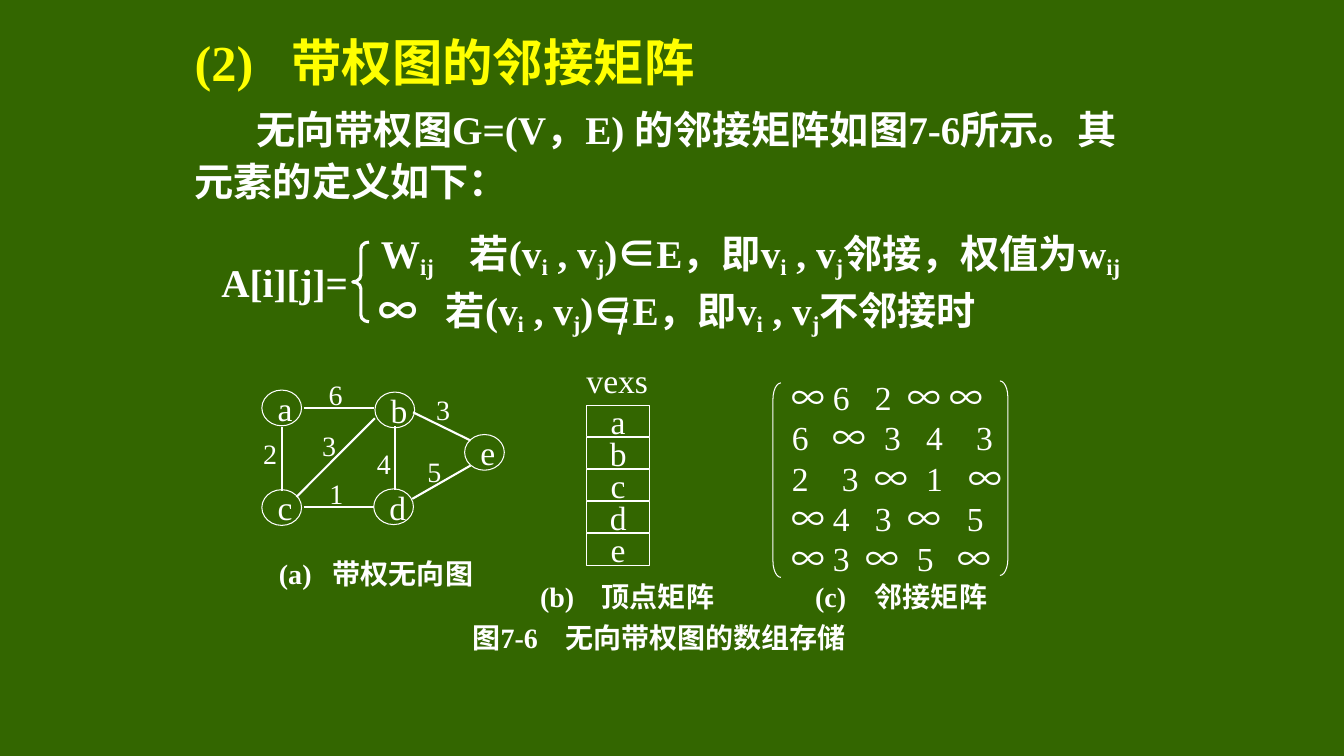
from itertools import groupby

from lxml import etree
from pptx import Presentation
from pptx.dml.color import RGBColor
from pptx.enum.shapes import MSO_CONNECTOR, MSO_SHAPE
from pptx.enum.text import MSO_ANCHOR, MSO_AUTO_SIZE, PP_ALIGN
from pptx.oxml.ns import qn
from pptx.util import Cm, Pt

GREEN = RGBColor(0x33, 0x66, 0x00)
YELLOW = RGBColor(0xFF, 0xFF, 0x00)
WHITE = RGBColor(0xFF, 0xFF, 0xFF)
TEXT_FONT, SYMBOL_FONT = "Times New Roman", "Noto Sans CJK SC"
SYMBOLS = "∞∈"
LEFT, CENTER = PP_ALIGN.LEFT, PP_ALIGN.CENTER
TOP, MIDDLE = MSO_ANCHOR.TOP, MSO_ANCHOR.MIDDLE
OVAL, RECTANGLE = MSO_SHAPE.OVAL, MSO_SHAPE.RECTANGLE
LEFT_BRACE = MSO_SHAPE.LEFT_BRACE
LEFT_BRACKET, RIGHT_BRACKET = MSO_SHAPE.LEFT_BRACKET, MSO_SHAPE.RIGHT_BRACKET

# Lengths are centimetres; text between bars is subscript.
TITLE = "(2)\t带权图的邻接矩阵"
BODY = "无向带权图G=(V，E) 的邻接矩阵如图7-6所示。其元素的定义如下："
# text, box, tab stops
FORMULA = [
    ("A[i][j]=", (5.33, 6.5, 3.9, 1.19), ()),
    ("W|ij|\t若(v|i| , v|j|)∈E，即v|i| , v|j|邻接，权值为w|ij|",
     (9.35, 5.77, 20.8, 1.3), (2.24,)),
    ("∞\t若(v|i| , v|j|)∈E，即v|i| , v|j|不邻接时",
     (9.3, 7.21, 17, 1.3), (1.69,)),
]
CAPTIONS = [
    ("(a)\t带权无向图", (6.78, 14, 6, 0.89), (1.36,)),
    ("(b)\t顶点矩阵", (13.36, 14.58, 6, 0.89), (1.56,)),
    ("(c)\t邻接矩阵", (20.29, 14.58, 6, 0.89), (1.51,)),
    ("图7-6\t无向带权图的数组存储", (11.66, 15.62, 11, 0.89), (2.34,)),
]
VERTICES = {"a": (6.6, 9.83), "b": (9.45, 9.88), "c": (6.6, 12.34),
            "d": (9.42, 12.32), "e": (11.71, 10.95)}
# weight, weight position, start, end
EDGES = [
    ("2", (6.38, 11.02), (7.11, 10.77), (7.11, 12.37)),
    ("4", (9.25, 11.28), (9.96, 10.74), (9.96, 12.34)),
    ("6", (8.03, 9.55), (7.65, 10.29), (9.42, 10.29)),
    ("1", (8.05, 12.04), (7.65, 12.78), (9.42, 12.78)),
    ("3", (7.87, 10.82), (7.47, 12.52), (9.45, 10.54)),
    ("5", (10.52, 11.48), (10.39, 12.57), (11.86, 11.73)),
    ("3", (10.74, 9.93), (11.86, 11.1), (10.41, 10.39)),
]
MATRIX = [
    ("∞62∞∞", (1.03, 2.09, 2.92, 3.98)),
    ("6∞343", (1.03, 2.32, 3.38, 4.64)),
    ("23∞1∞", (1.26, 2.09, 3.38, 4.44)),
    ("∞43∞5", (1.03, 2.09, 2.92, 4.41)),
    ("∞3∞5∞", (1.03, 1.86, 3.15, 4.18)),
]
CELL_LEFT, CELL_TOP, CELL_WIDTH, CELL_HEIGHT, CELL_PITCH = 14.78, 10.21, 1.6, 0.79, 0.81
ROW_LEFT, ROW_TOP, ROW_PITCH = 19.71, 9.55, 1.02


def write(shape, text, size, bold=False, tabs=(), color=WHITE, align=LEFT,
          anchor=MIDDLE, wrap=True, spacing=None, indent=None):
    frame = shape.text_frame
    frame.auto_size = MSO_AUTO_SIZE.NONE
    frame.word_wrap = wrap
    frame.vertical_anchor = anchor
    paragraph = frame.paragraphs[0]
    paragraph.alignment = align
    paragraph.space_before = Pt(0)
    if spacing:
        paragraph.line_spacing = Pt(spacing)
    properties = paragraph._p.get_or_add_pPr()
    if indent:
        properties.set("marL", "0")
        properties.set("indent", str(Cm(indent)))
        etree.SubElement(properties, qn("a:buNone"))
    if tabs:
        tab_list = etree.SubElement(properties, qn("a:tabLst"))
        for position in tabs:
            etree.SubElement(tab_list, qn("a:tab"), pos=str(Cm(position)), algn="l")
    font = paragraph.font
    font.name, font.size, font.bold = TEXT_FONT, Pt(size), bold
    font.color.rgb = color
    for index, piece in enumerate(text.split("|")):
        for is_symbol, letters in groupby(piece, lambda letter: letter in SYMBOLS):
            run = paragraph.add_run()
            run.text = "".join(letters)
            if is_symbol:
                run.font.name = SYMBOL_FONT
            if index % 2:
                run._r.get_or_add_rPr().set("baseline", "-18000")


def place(shape, left, top, width, height):
    shape.left, shape.top = Cm(left), Cm(top)
    shape.width, shape.height = Cm(width), Cm(height)


def add_label(slide, text, box, size, **style):
    write(slide.shapes.add_textbox(*map(Cm, box)), text, size, **style)


def add_outline(slide, kind, box, line_width=0.75):
    shape = slide.shapes.add_shape(kind, *map(Cm, box))
    shape.shadow.inherit = False
    shape.fill.background()
    shape.line.color.rgb = WHITE
    shape.line.width = Pt(line_width)
    return shape


def add_line(slide, start, end, line_width):
    line = slide.shapes.add_connector(MSO_CONNECTOR.STRAIGHT, *map(Cm, start + end))
    line.line.color.rgb = WHITE
    line.line.width = Pt(line_width)
    etree.SubElement(line._element.spPr, qn("a:effectLst"))


def add_heading(slide):
    title, body = slide.placeholders
    place(title, 4.65, 0.77, 24.49, 1.6)
    write(title, TITLE, 36, bold=True, tabs=(2.44,), color=YELLOW,
          anchor=TOP, spacing=40)
    place(body, 4.65, 2.41, 24.49, 2.9)
    write(body, BODY, 28, bold=True, anchor=TOP, spacing=37, indent=1.56)


def add_formula(slide):
    for text, box, tabs in FORMULA:
        add_label(slide, text, box, 28, bold=True, tabs=tabs)
    brace = add_outline(slide, LEFT_BRACE, (8.89, 6.1, 0.41, 2.01), 2.25)
    brace.adjustments[0] = 0.42
    add_line(slide, (15.8, 7.62), (15.6, 8.43), 2.25)  # turns ∈ into "not in"


def add_graph(slide):
    for name, position in VERTICES.items():
        vertex = add_outline(slide, OVAL, position + (1, 0.9))
        vertex.text_frame.margin_right = 0
        write(vertex, name, 24, wrap=False)
    for weight, position, start, end in EDGES:
        add_line(slide, start, end, 1.5)
        add_label(slide, weight, position + (0.79, 0.79), 20, wrap=False)


def add_vertex_array(slide):
    add_label(slide, "vexs", (14.53, 9.12, 2.2, 0.89), 24)
    for index, name in enumerate(VERTICES):
        top = CELL_TOP + index * CELL_PITCH
        cell = add_outline(slide, RECTANGLE, (CELL_LEFT, top, CELL_WIDTH, CELL_HEIGHT))
        write(cell, name, 24, align=CENTER, wrap=False)


def add_matrix(slide):
    for index, (entries, tabs) in enumerate(MATRIX):
        box = (ROW_LEFT, ROW_TOP + index * ROW_PITCH, 6.2, 0.89)
        add_label(slide, "\t".join(entries), box, 24, tabs=tabs)
    for kind, left, top in ((LEFT_BRACKET, 19.48, 9.65), (RIGHT_BRACKET, 25.2, 9.6)):
        bracket = add_outline(slide, kind, (left, top, 0.2, 4.9))
        bracket.adjustments[0] = 2.06


def main():
    presentation = Presentation()
    presentation.slide_width, presentation.slide_height = Cm(33.87), Cm(19.05)
    slide = presentation.slides.add_slide(presentation.slide_layouts[1])
    slide.background.fill.solid()
    slide.background.fill.fore_color.rgb = GREEN
    add_heading(slide)
    add_formula(slide)
    add_graph(slide)
    add_vertex_array(slide)
    add_matrix(slide)
    for text, box, tabs in CAPTIONS:
        add_label(slide, text, box, 20, bold=True, tabs=tabs)
    presentation.save("out.pptx")


if __name__ == "__main__":
    main()
